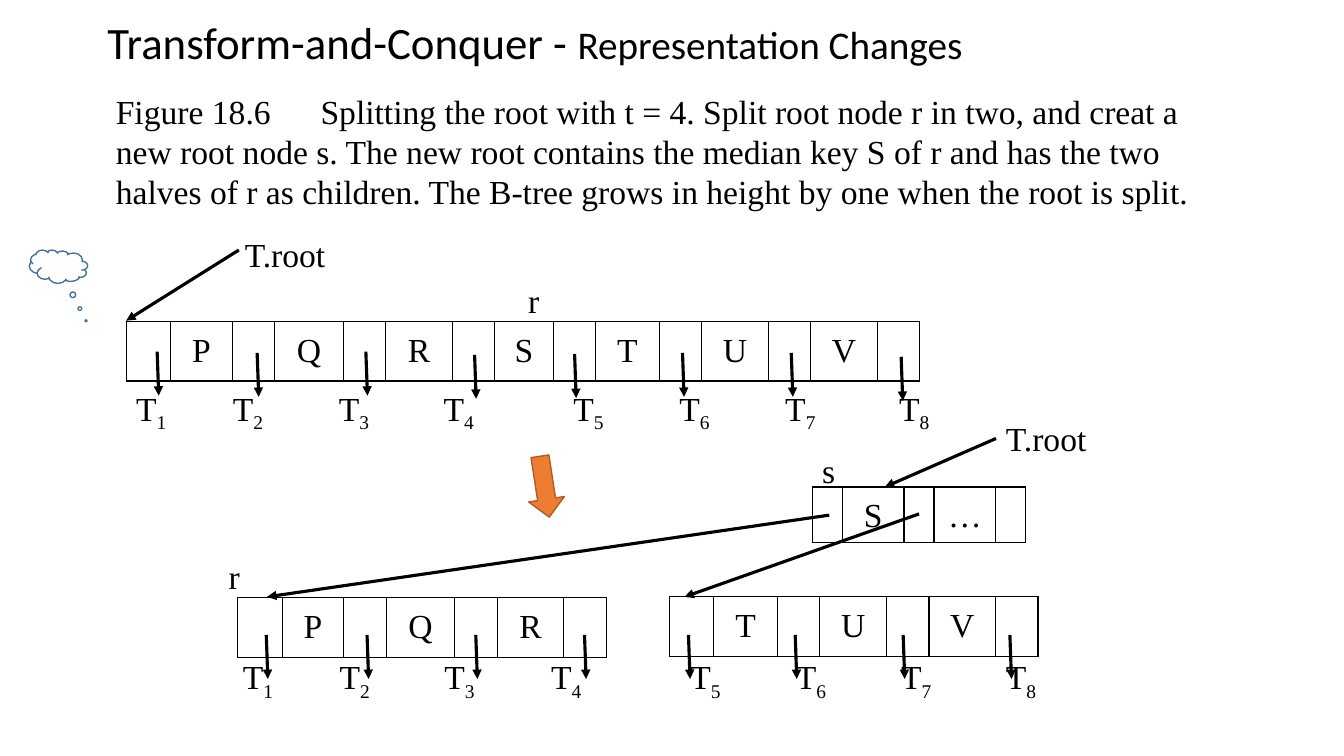
import pptx
import pptx.util
import pptx.dml.color
import pptx.enum.shapes
import pptx.enum.text
from lxml import etree
from pptx.oxml.ns import qn
from pptx.util import Cm, Pt

RGB = pptx.dml.color.RGBColor
SHAPE = pptx.enum.shapes.MSO_SHAPE
BLACK = RGB(0x00, 0x00, 0x00)
WHITE = RGB(0xFF, 0xFF, 0xFF)
ORANGE = RGB(0xED, 0x7D, 0x31)
DARK_ORANGE = RGB(0xAF, 0x5C, 0x24)
BLUE = RGB(0x43, 0x73, 0x9E)
SERIF = "Times New Roman"

KEY_WIDTHS = {"P": 1.55, "Q": 1.73, "R": 1.68, "S": 1.47,
              "T": 1.6, "U": 1.68, "V": 1.68}
CAPTION = ("Figure 18.6\tSplitting the root with t = 4. Split root node r in two, "
           "and creat a new root node s. The new root contains the median key S of r "
           "and has the two halves of r as children. The B-tree grows in height by one "
           "when the root is split.")


def set_font(p, size=24, name=SERIF):
    p.font.size = Pt(size)
    p.font.name = name
    p.font.color.rgb = BLACK


def add_tabs(p, stops):
    tabs = etree.SubElement(p._p.get_or_add_pPr(), qn("a:tabLst"))
    for stop in stops:
        etree.SubElement(tabs, qn("a:tab"), pos=str(Cm(stop)), algn="l")


def add_text(s, x, y, w, h, text="", spacing=None, tabs=()):
    tf = s.shapes.add_textbox(Cm(x), Cm(y), Cm(w), Cm(h)).text_frame
    tf.word_wrap = True
    p = tf.paragraphs[0]
    p.text = text
    if spacing:
        p.line_spacing = spacing
    if tabs:
        add_tabs(p, tabs)
    set_font(p)
    return p


def add_arrow(s, x1, y1, x2, y2):
    c = s.shapes.add_connector(pptx.enum.shapes.MSO_CONNECTOR.STRAIGHT,
                               Cm(x1), Cm(y1), Cm(x2), Cm(y2))
    c.line.color.rgb = BLACK
    c.line.width = Pt(2.25)
    etree.SubElement(c.line._get_or_add_ln(), qn("a:tailEnd"), type="triangle")
    etree.SubElement(c._element.spPr, qn("a:effectLst"))


def add_shape(s, kind, x, y, w, h, fill, line):
    sp = s.shapes.add_shape(kind, Cm(x), Cm(y), Cm(w), Cm(h))
    sp.shadow.inherit = False
    sp.fill.solid()
    sp.fill.fore_color.rgb = fill
    sp.line.color.rgb = line
    sp.line.width = Pt(1)
    return sp


def format_cell(cell, text):
    tc_pr = cell._tc.get_or_add_tcPr()
    for side in ("lnL", "lnR", "lnT", "lnB"):
        ln = etree.SubElement(tc_pr, qn("a:" + side), w=str(Pt(1)))
        fill = etree.SubElement(ln, qn("a:solidFill"))
        etree.SubElement(fill, qn("a:srgbClr"), val=str(BLACK))
    cell.fill.solid()
    cell.fill.fore_color.rgb = WHITE
    cell.margin_left = cell.margin_right = Cm(0.18)
    cell.margin_top = cell.margin_bottom = 0
    p = cell.text_frame.paragraphs[0]
    p.text = text
    p.alignment = pptx.enum.text.PP_ALIGN.CENTER
    p.line_spacing = 1.3
    set_font(p)


def add_node(s, x, y, h, keys, widths):
    """A B-tree node: pointer cells alternating with key cells."""
    texts = [""]
    for key in keys:
        texts += [key, ""]
    table = s.shapes.add_table(1, len(texts), Cm(x), Cm(y),
                               Cm(sum(widths)), Cm(h)).table
    table.first_row = table.horz_banding = False
    table.rows[0].height = Cm(h)
    for i, (text, width) in enumerate(zip(texts, widths)):
        table.columns[i].width = Cm(width)
        format_cell(table.cell(0, i), text)


def add_full_node(s, x, y, keys, pointers):
    """A node with its downward child pointers."""
    widths = [1.12]
    for key in keys:
        widths += [KEY_WIDTHS[key], 1.07]
    add_node(s, x, y, 1.5, keys, widths)
    for dx, dy in pointers:
        add_arrow(s, x + dx, y + dy, x + dx + 0.04, y + dy + 1.11)


def add_subtree_labels(s, x, y, w, tabs):
    p = add_text(s, x, y, w, 1.27, tabs=tabs)
    for i in range(1, len(tabs) + 2):
        r = p.add_run()
        r.text = "T" if i == 1 else "\tT"
        r = p.add_run()
        r.text = str(i)
        r._r.get_or_add_rPr().set("baseline", "-25000")


def add_heading(s, x, y, w):
    p = add_text(s, x, y, w, 1.63)
    set_font(p, 32, "Calibri")
    for text, size in (("Transform-and-Conquer - ", 32), ("Representation Changes", 28)):
        r = p.add_run()
        r.text = text
        r.font.size = Pt(size)
    add_text(s, x + 0.21, y + 1.91, 28.4, 3.33, CAPTION, tabs=[5.16])


def add_before_split(s, x, y):
    offsets = [(0.78, 0.76), (3.3, 0.79), (6.04, 0.76), (8.78, 0.84),
               (11.3, 0.82), (14.02, 0.79), (16.76, 0.79), (19.53, 0.89)]
    add_full_node(s, x, y, "PQRSTUV", offsets)
    add_arrow(s, x + 2.84, y - 1.8, x, y - 0.02)
    add_text(s, x + 2.74, y - 2.33, 2.82, 1.27, "T.root")
    add_text(s, x + 9.88, y - 1.47, 0.79, 1.45, "r", 1.3)
    add_subtree_labels(s, x, y + 1.55, 21.36,
                       [2.44, 5.11, 7.75, 11.02, 13.69, 16.36, 19.23])


def add_after_split(s, x, y):
    # New root s
    root_x, root_y = x + 14.48, y - 2.79
    add_node(s, root_x, root_y, 1.4, "S…", [0.76, 1.55, 0.76, 1.55, 0.76])
    add_arrow(s, root_x + 4.63, root_y - 1.22, root_x + 1.83, root_y)
    add_text(s, root_x + 4.63, root_y - 1.86, 2.82, 1.27, "T.root")
    add_text(s, root_x, root_y - 1.37, 0.94, 1.45, "s", 1.3)
    # Two halves of r
    add_full_node(s, x, y, "PQR", [(dx, 0.94) for dx in (0.72, 3.26, 6, 8.74)])
    add_full_node(s, x + 10.88, y - 0.02, "TUV",
                  [(dx, 0.96) for dx in (0.48, 3.17, 5.89, 8.58)])
    add_arrow(s, root_x + 0.43, root_y + 0.71, x + 0.74, y - 0.02)
    add_arrow(s, root_x + 2.69, root_y + 0.68, x + 11.26, y - 0.02)
    add_text(s, x - 0.48, y - 1.47, 0.79, 1.45, "r", 1.3)
    add_subtree_labels(s, x - 0.12, y + 1.35, 21.46,
                       [2.44, 5.08, 7.77, 11.28, 13.94, 16.59, 19.23])


def add_decorations(s):
    arrow = add_shape(s, SHAPE.RIGHT_ARROW, 12.95, 11.81, 1.55, 0.91, ORANGE, DARK_ORANGE)
    arrow.rotation = 81.3
    cloud = add_shape(s, SHAPE.CLOUD_CALLOUT, 0.74, 6.3, 1.47, 0.84, WHITE, BLUE)
    cloud.adjustments[0] = -0.473
    cloud.adjustments[1] = 1.625
    cloud._element.spPr.xfrm.set("flipH", "1")


def main():
    prs = pptx.Presentation()
    prs.slide_width, prs.slide_height = Cm(33.87), Cm(19.05)
    s = prs.slides.add_slide(prs.slide_layouts[6])
    add_before_split(s, 3.18, 8.1)
    add_after_split(s, 5.99, 15.06)
    add_decorations(s)
    add_heading(s, 2.46, 0.25, 22.81)
    prs.save("out.pptx")


if __name__ == "__main__":
    main()
